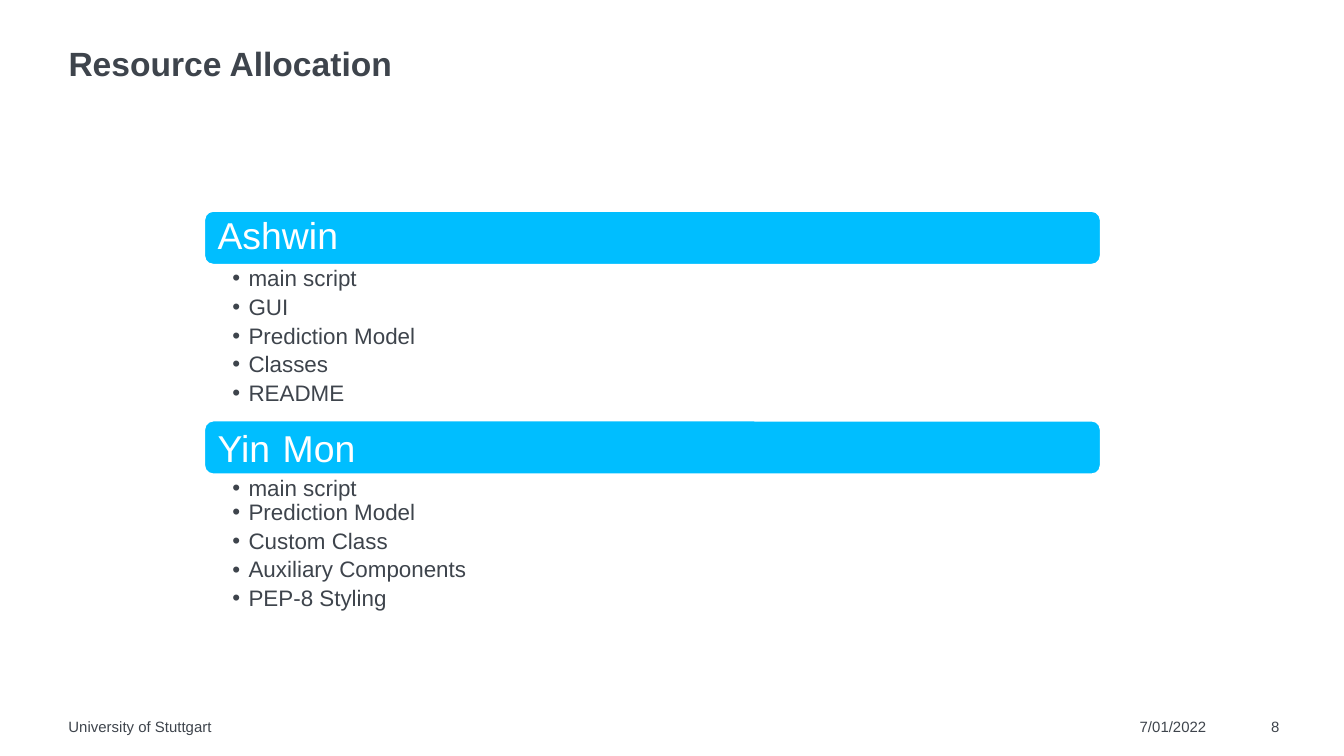
from lxml import etree
from pptx import Presentation
from pptx.dml.color import RGBColor
from pptx.enum.shapes import MSO_SHAPE
from pptx.enum.text import MSO_ANCHOR, PP_ALIGN
from pptx.oxml.ns import qn
from pptx.util import Inches, Pt

SLATE = RGBColor(0x3E, 0x44, 0x4C)
CYAN = RGBColor(0x00, 0xBE, 0xFF)
WHITE = RGBColor(0xFF, 0xFF, 0xFF)
FONT = "Arial"

BAR_HEIGHT = 0.4
TASKS_HEIGHT = 1.16
# Each member: name, tasks, and the first task with a gap above it
MEMBERS = [
    ("Ashwin",
     ["main script", "GUI", "Prediction Model", "Classes", "README"], 1),
    ("Yin Mon",
     ["main script", "Prediction Model", "Custom Class",
      "Auxiliary Components", "PEP-8 Styling"], 2),
]


def set_insets(frame, left=0, top=0, right=0, bottom=0):
    frame.margin_left, frame.margin_top = Inches(left), Inches(top)
    frame.margin_right, frame.margin_bottom = Inches(right), Inches(bottom)
    frame.word_wrap = True


def style_runs(paragraph, size, color=SLATE, bold=False):
    for run in paragraph.runs:
        run.font.name = FONT
        run.font.size = Pt(size)
        run.font.bold = bold
        run.font.color.rgb = color


def add_line(slide, text, left, top, width, height, size,
             bold=False, align=PP_ALIGN.LEFT):
    label = slide.shapes.add_textbox(
        Inches(left), Inches(top), Inches(width), Inches(height))
    set_insets(label.text_frame)
    paragraph = label.text_frame.paragraphs[0]
    paragraph.text = text
    paragraph.alignment = align
    style_runs(paragraph, size, bold=bold)
    return paragraph


def add_bullet(paragraph):
    properties = paragraph._p.get_or_add_pPr()
    properties.set("marL", str(Inches(0.12)))
    properties.set("indent", str(-Inches(0.12)))
    etree.SubElement(properties, qn("a:buFont")).set("typeface", FONT)
    etree.SubElement(properties, qn("a:buChar")).set("char", "•")


def add_name_bar(slide, name, left, top, width):
    bar = slide.shapes.add_shape(
        MSO_SHAPE.ROUNDED_RECTANGLE,
        Inches(left), Inches(top), Inches(width), Inches(BAR_HEIGHT))
    bar.adjustments[0] = 0.167
    bar.shadow.inherit = False
    bar.fill.solid()
    bar.fill.fore_color.rgb = CYAN
    bar.line.color.rgb = WHITE
    bar.line.width = Pt(1)

    frame = bar.text_frame
    set_insets(frame, 0.08, 0.08, 0.08, 0.08)
    frame.vertical_anchor = MSO_ANCHOR.MIDDLE
    heading = frame.paragraphs[0]
    heading.alignment = PP_ALIGN.LEFT
    heading.line_spacing = 0.9
    first, space, last = name.partition(" ")
    for part in filter(None, (first, space, last)):
        heading.add_run().text = part
    style_runs(heading, 20, WHITE)
    if space:
        heading.runs[1].font.size = Pt(24)


def add_tasks(slide, tasks, first_spaced, left, top, width):
    listing = slide.shapes.add_textbox(
        Inches(left), Inches(top), Inches(width), Inches(TASKS_HEIGHT))
    frame = listing.text_frame
    set_insets(frame, 0.21, 0.02, 0.09, 0.02)
    frame.text = "\n".join(tasks)
    for index, task in enumerate(frame.paragraphs):
        task.level = 1
        task.line_spacing = 0.9
        task.space_before = Pt(2.4 if index >= first_spaced else 0)
        add_bullet(task)
        style_runs(task, 12)


def add_allocation(slide, left, top, width):
    for index, (name, tasks, first_spaced) in enumerate(MEMBERS):
        bar_top = top + index * (BAR_HEIGHT + TASKS_HEIGHT)
        add_name_bar(slide, name, left, bar_top, width)
        add_tasks(slide, tasks, first_spaced, left, bar_top + BAR_HEIGHT, width)


def add_footer(slide, left, top):
    height = 0.13
    add_line(slide, "University of Stuttgart", left, top, 6.63, height, 8)
    add_line(slide, "7/01/2022", left + 7.97, top, 0.58, height, 8)
    add_line(slide, "8", left + 8.77, top, 0.24, height, 8,
             align=PP_ALIGN.RIGHT)


def main():
    deck = Presentation()
    deck.slide_width = Inches(10)
    deck.slide_height = deck.slide_width * 9 // 16
    slide = deck.slides.add_slide(deck.slide_layouts[6])
    title = add_line(slide, "Resource Allocation", 0.51, 0.35, 9.02, 0.28, 18,
                     bold=True)
    title.line_spacing = 0.9
    add_allocation(slide, 1.52, 1.57, 6.67)
    add_footer(slide, 0.51, 5.34)
    deck.save("out.pptx")


if __name__ == "__main__":
    main()
